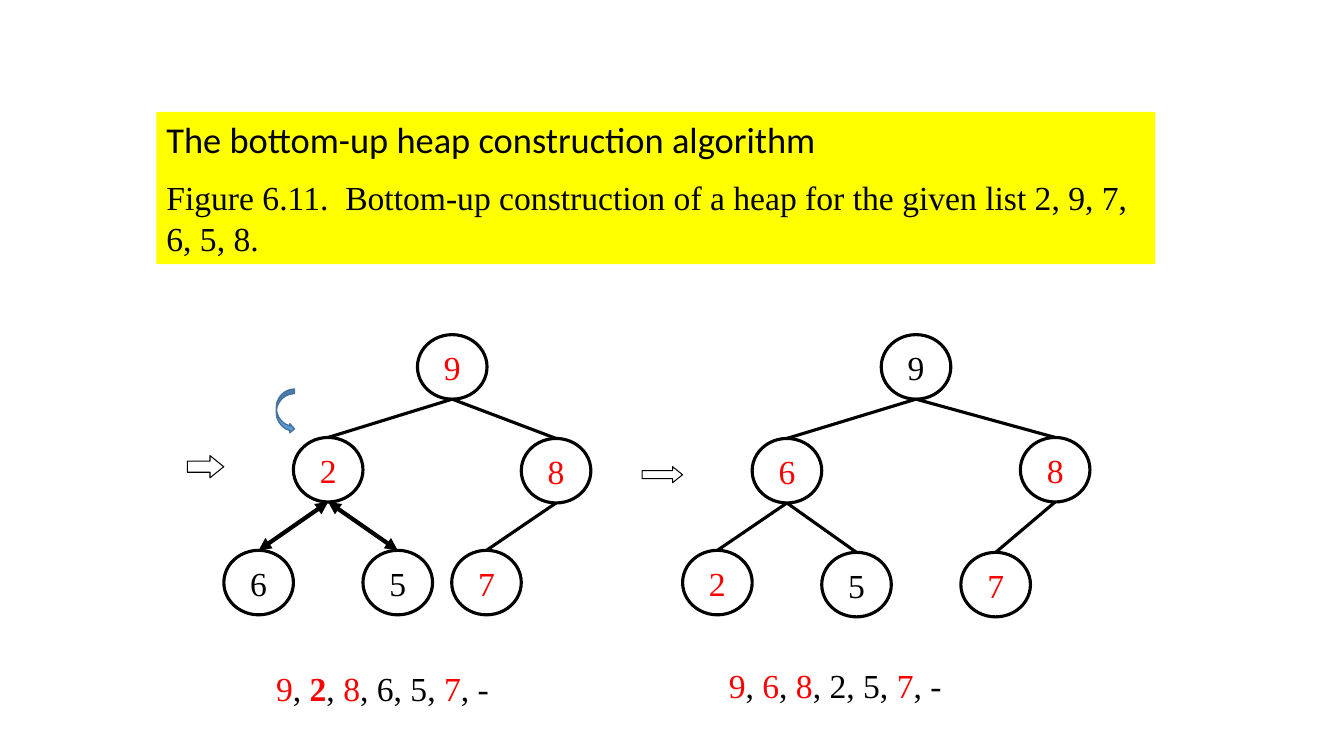
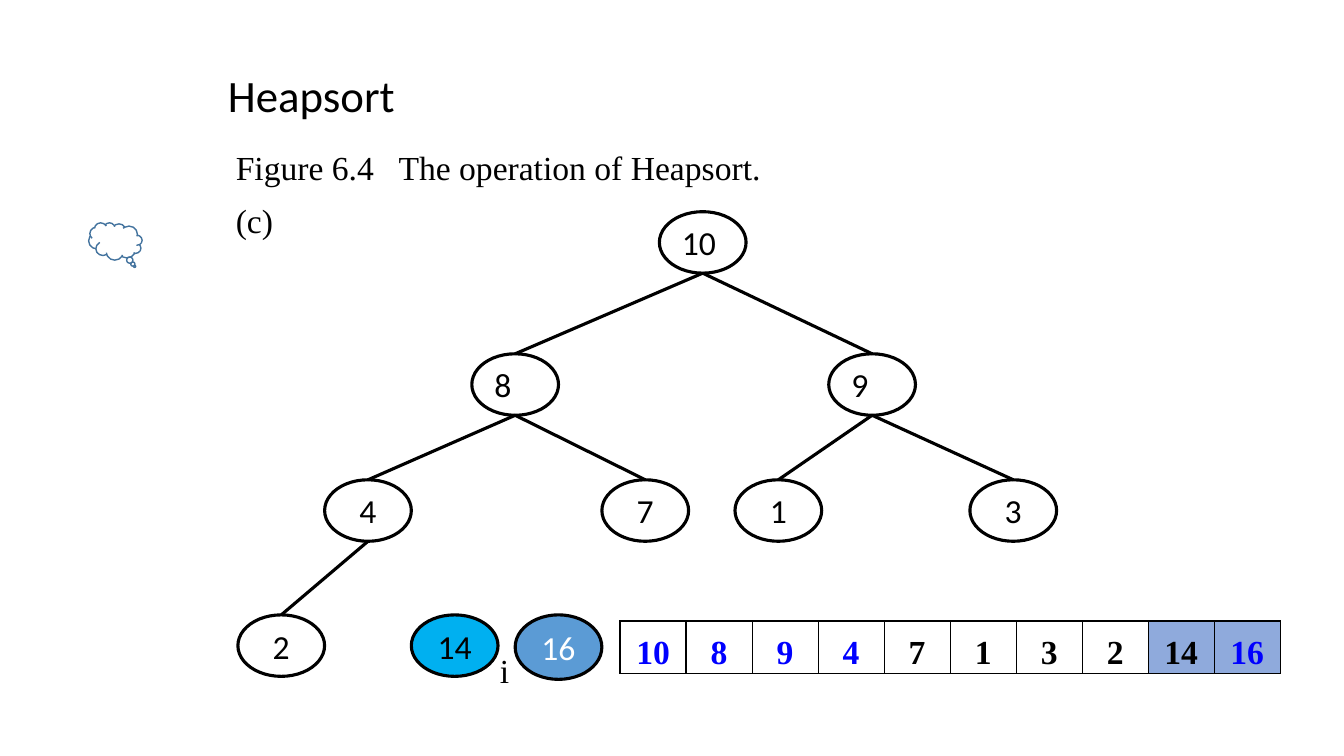
from lxml import etree
from pptx import Presentation
from pptx.dml.color import RGBColor
from pptx.enum.shapes import MSO_CONNECTOR, MSO_SHAPE
from pptx.enum.text import MSO_ANCHOR, MSO_AUTO_SIZE, PP_ALIGN
from pptx.oxml.ns import qn
from pptx.util import Inches, Pt

BLACK = RGBColor(0x00, 0x00, 0x00)
WHITE = RGBColor(0xFF, 0xFF, 0xFF)
RED = RGBColor(0xFF, 0x00, 0x00)
YELLOW = RGBColor(0xFF, 0xFF, 0x00)
BLUE = RGBColor(0x00, 0x00, 0xFF)
STEEL = RGBColor(0x5B, 0x9B, 0xD5)
DARK_STEEL = RGBColor(0x43, 0x73, 0x9E)
SKY = RGBColor(0x00, 0xB0, 0xF0)
LAVENDER = RGBColor(0x8F, 0xAA, 0xDC)
SANS, SERIF = "Calibri", "Times New Roman"
BODY_SIZE = 24

CONSTRUCTION_TITLE = "The bottom-up heap construction algorithm"
CONSTRUCTION_FIGURE = ("Figure 6.11.  Bottom-up construction of a heap "
                       "for the given list 2, 9, 7, 6, 5, 8.")
# Heaps are in array order, so the parent of node i is node (i - 1) // 2.
# Node: value, left, top, text colour
BEFORE_SWAP = [
    ("9", 4.14, 3.32, RED), ("2", 2.91, 4.34, RED), ("8", 5.17, 4.35, RED),
    ("6", 2.22, 5.46, BLACK), ("5", 3.6, 5.46, BLACK), ("7", 4.48, 5.46, RED),
]
AFTER_SWAP = [
    ("9", 8.74, 3.32, BLACK), ("6", 7.46, 4.35, RED), ("8", 10.12, 4.34, RED),
    ("2", 6.77, 5.46, RED), ("5", 8.15, 5.48, BLACK), ("7", 9.53, 5.48, RED),
]
COMPARED = (3, 4)  # nodes compared with their parent before the swap
# Run: text, colour, bold
BEFORE_LIST = [("9", RED, False), (", ", BLACK, False), ("2", RED, True),
               (", ", BLACK, False), ("8", RED, False),
               (", 6, 5, ", BLACK, False), ("7", RED, False),
               (", -", BLACK, False)]
AFTER_LIST = [("9", RED, False), (", ", BLACK, False), ("6", RED, False),
              (", ", BLACK, False), ("8", RED, False),
              (", 2, 5, ", BLACK, False), ("7", RED, False),
              (", -", BLACK, False)]
STEP_ARROWS = [(6.37, 4.63, 0.4, 0.16), (1.86, 4.52, 0.36, 0.22)]

HEAPSORT_FIGURE = ["Figure 6.4   The operation of Heapsort.", "(c)"]
HEAPSORT_TREE = [
    ("10", 6.54, 2.1, BLACK), ("8", 4.68, 3.51, BLACK),
    ("9", 8.22, 3.51, BLACK), ("4", 3.22, 4.76, BLACK),
    ("7", 5.97, 4.76, BLACK), ("1", 7.29, 4.76, BLACK),
    ("3", 9.62, 4.76, BLACK), ("2", 2.36, 6.1, BLACK),
]
LEFT_ALIGNED = 3  # the first nodes of the tree, with their value at the left
# Removed node: value, box, fill, text colour
REMOVED = [("14", (4.08, 6.1, 0.86, 0.61), SKY, BLACK),
           ("16", (5.11, 6.1, 0.86, 0.64), STEEL, WHITE)]
# Array cell: value, text colour, fill
ARRAY = ([(value, BLUE, WHITE) for value in ("10", "8", "9", "4")]
         + [(value, BLACK, WHITE) for value in ("7", "1", "3", "2")]
         + [("14", BLACK, LAVENDER), ("16", BLUE, LAVENDER)])
ARRAY_BOX = (6.15, 6.16, 6.55, 0.47)


def inches(box):
    return [Inches(length) for length in box]


def add_run(paragraph, words, font=SERIF, size=BODY_SIZE, color=BLACK,
            bold=False):
    run = paragraph.add_run()
    run.text = words
    run.font.name = font
    run.font.size = Pt(size)
    run.font.color.rgb = color
    run.font.bold = bold


def add_text(slide, box, paragraphs, spacing=None):
    """Add a text box; each paragraph is a list of (text, colour, bold)."""
    frame = slide.shapes.add_textbox(*inches(box)).text_frame
    frame.word_wrap = True
    for index, runs in enumerate(paragraphs):
        paragraph = frame.add_paragraph() if index else frame.paragraphs[0]
        paragraph.line_spacing = spacing
        for words, color, bold in runs:
            add_run(paragraph, words, color=color, bold=bold)


def add_title(slide, box, words, size):
    """Place the title and return its text frame."""
    title = slide.shapes.title
    title.left, title.top, title.width, title.height = inches(box)
    frame = title.text_frame
    frame.word_wrap = True
    frame.auto_size = MSO_AUTO_SIZE.NONE
    frame.vertical_anchor = MSO_ANCHOR.TOP
    frame.paragraphs[0].alignment = PP_ALIGN.LEFT
    add_run(frame.paragraphs[0], words, SANS, size)
    return frame


def add_figure(slide, preset, box, fill=WHITE, line=BLACK, weight=0.75):
    figure = slide.shapes.add_shape(preset, *inches(box))
    figure.shadow.inherit = False
    figure.fill.solid()
    figure.fill.fore_color.rgb = fill
    figure.line.color.rgb = line
    figure.line.width = Pt(weight)
    return figure


def add_node(slide, value, box, font, color, fill=WHITE,
             align=PP_ALIGN.CENTER):
    node = add_figure(slide, MSO_SHAPE.OVAL, box, fill, weight=2.25)
    frame = node.text_frame
    frame.vertical_anchor = MSO_ANCHOR.MIDDLE
    frame.paragraphs[0].alignment = align
    add_run(frame.paragraphs[0], value, font, color=color)
    return node


def add_edge(slide, parent, child, double_headed):
    """Join the bottom of the parent to the top of the child."""
    edge = slide.shapes.add_connector(
        MSO_CONNECTOR.STRAIGHT,
        parent.left + parent.width // 2, parent.top + parent.height,
        child.left + child.width // 2, child.top)
    edge.end_connect(child, 0)
    edge.line.color.rgb = BLACK
    edge.line.width = Pt(3 if double_headed else 2.25)
    if double_headed:
        for end in ("a:headEnd", "a:tailEnd"):
            etree.SubElement(edge.line._get_or_add_ln(), qn(end),
                             type="triangle")
    etree.SubElement(edge._element.spPr, qn("a:effectLst"))


def add_tree(slide, tree, size, font, compared=(), left_aligned=0):
    nodes = [
        add_node(slide, value, (left, top, *size), font, color,
                 align=PP_ALIGN.LEFT if index < left_aligned
                 else PP_ALIGN.CENTER)
        for index, (value, left, top, color) in enumerate(tree)]
    for index in range(1, len(nodes)):
        add_edge(slide, nodes[(index - 1) // 2], nodes[index],
                 index in compared)


def add_borders(cell):
    properties = cell._tc.get_or_add_tcPr()
    for position, side in enumerate(("a:lnL", "a:lnR", "a:lnT", "a:lnB")):
        border = etree.Element(qn(side), w=str(Pt(1)))
        fill = etree.SubElement(border, qn("a:solidFill"))
        etree.SubElement(fill, qn("a:srgbClr"), val=str(BLACK))
        properties.insert(position, border)


def add_array(slide):
    left, top, width, height = inches(ARRAY_BOX)
    table = slide.shapes.add_table(1, len(ARRAY), left, top, width,
                                   height).table
    table.first_row = table.horz_banding = False
    for column, (value, color, fill) in enumerate(ARRAY):
        table.columns[column].width = width // len(ARRAY)
        cell = table.cell(0, column)
        cell.fill.solid()
        cell.fill.fore_color.rgb = fill
        cell.vertical_anchor = MSO_ANCHOR.MIDDLE
        cell.margin_left = cell.margin_right = Inches(0.07)
        cell.margin_top = cell.margin_bottom = 0
        paragraph = cell.text_frame.paragraphs[0]
        paragraph.alignment = PP_ALIGN.CENTER
        paragraph.line_spacing = 1.3
        add_run(paragraph, value, color=color, bold=True)
        add_borders(cell)


def build_construction(slide):
    heading = add_title(slide, (1.55, 1.11, 9.91, 1.51),
                        CONSTRUCTION_TITLE, 26)
    slide.shapes.title.fill.solid()
    slide.shapes.title.fill.fore_color.rgb = YELLOW
    heading.paragraphs[0].space_after = Pt(12)
    figure = heading.add_paragraph()
    figure.alignment = PP_ALIGN.LEFT
    figure.space_after = Pt(6)
    add_run(figure, CONSTRUCTION_FIGURE)

    add_tree(slide, BEFORE_SWAP, (0.69, 0.64), SERIF, compared=COMPARED)
    add_tree(slide, AFTER_SWAP, (0.69, 0.64), SERIF)
    for box in STEP_ARROWS:
        arrow = add_figure(slide, MSO_SHAPE.RIGHT_ARROW, box)
        arrow.adjustments[1] = 0.62
    add_text(slide, (2.64, 6.58, 2.61, 0.5), [BEFORE_LIST])
    add_text(slide, (7.13, 6.55, 2.61, 0.5), [AFTER_LIST])
    add_figure(slide, MSO_SHAPE.CURVED_RIGHT_ARROW, (2.74, 3.86, 0.18, 0.44),
               STEEL, DARK_STEEL, 1)


def build_heapsort(slide):
    add_title(slide, (2.16, 0.62, 1.87, 0.64), "Heapsort", 32)
    add_tree(slide, HEAPSORT_TREE, (0.86, 0.61), SANS,
             left_aligned=LEFT_ALIGNED)
    for value, box, fill, color in REMOVED:
        add_node(slide, value, box, SANS, color, fill)
    add_text(slide, (2.24, 1.29, 6.3, 1.1),
             [[(line, BLACK, False)] for line in HEAPSORT_FIGURE], 1.3)
    add_text(slide, (4.86, 6.4, 0.53, 0.5), [[("i", BLACK, False)]])
    thought = add_figure(slide, MSO_SHAPE.CLOUD_CALLOUT,
                         (0.88, 2.21, 0.53, 0.37), WHITE, DARK_STEEL, 1)
    thought.adjustments[0] = -0.36
    thought.adjustments[1] = 0.67
    thought._element.spPr.find(qn("a:xfrm")).set("flipH", "1")
    add_array(slide)


def main():
    deck = Presentation()
    deck.slide_width, deck.slide_height = Inches(13.33), Inches(7.5)
    title_only = deck.slide_layouts[5]
    for build in (build_construction, build_heapsort):
        build(deck.slides.add_slide(title_only))
    deck.save("out.pptx")


if __name__ == "__main__":
    main()
